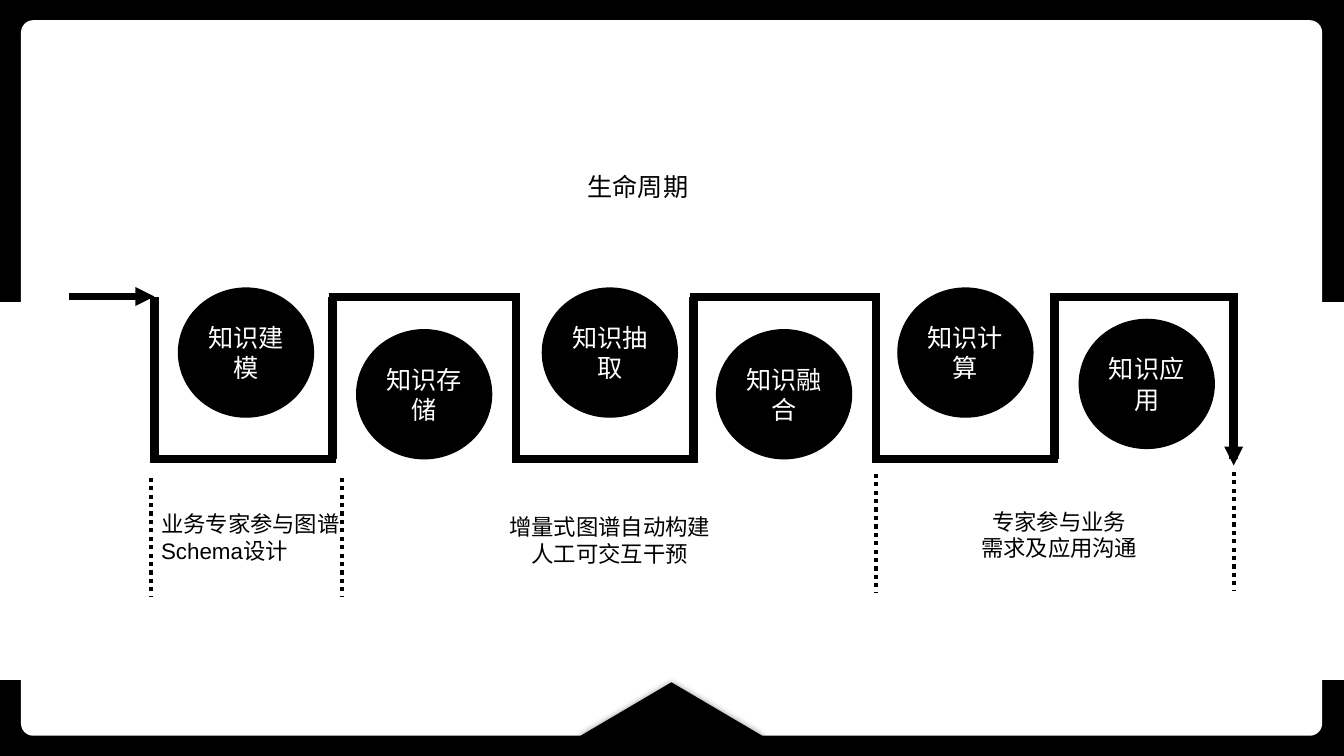
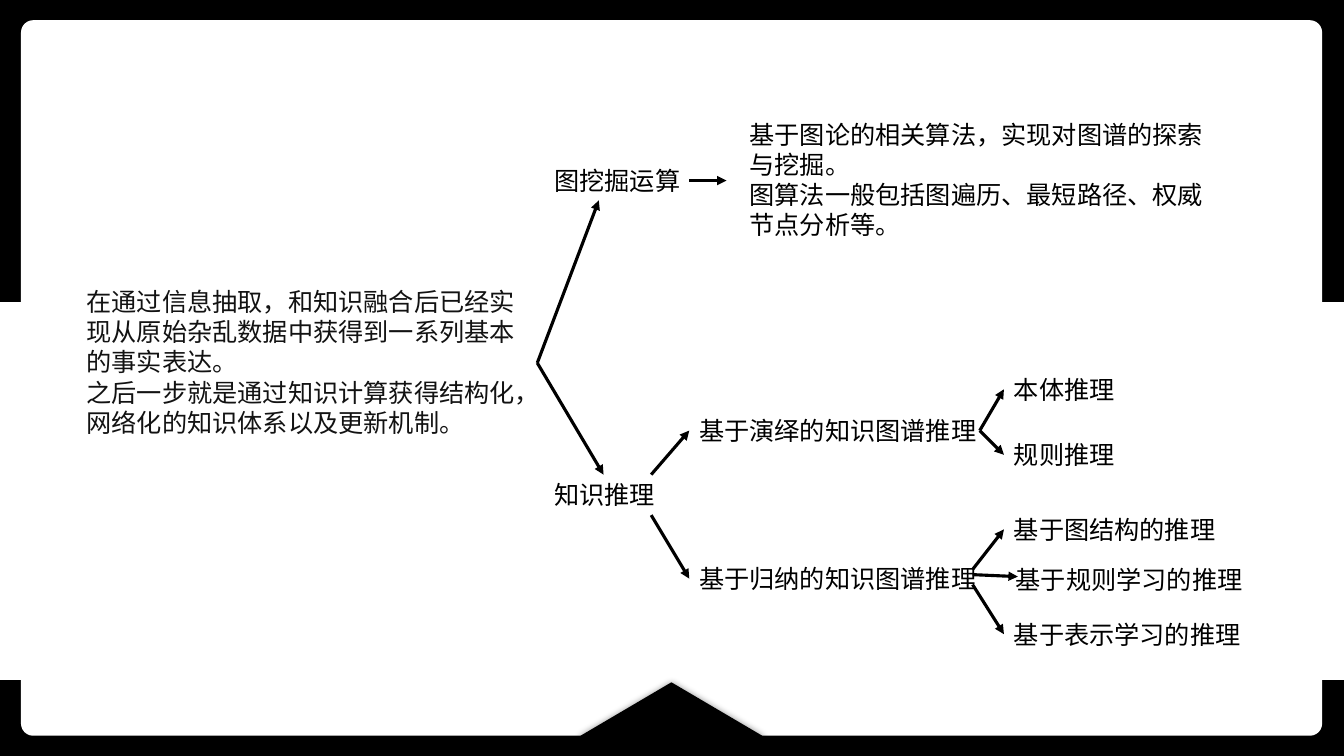
from lxml.etree import SubElement
from pptx import Presentation
from pptx.dml.color import RGBColor
from pptx.enum.dml import MSO_LINE
from pptx.enum.shapes import MSO_CONNECTOR, MSO_SHAPE as Preset
from pptx.enum.text import MSO_ANCHOR, MSO_AUTO_SIZE, PP_ALIGN as Align
from pptx.oxml.ns import qn
from pptx.util import Cm, Pt

COLORS = {name: RGBColor.from_string(value) for name, value in {
    "ink": "000000", "paper": "FFFFFF", "body": "121212"}.items()}
BODY_FONT = {"name": "Arial", "size": Pt(18), "bold": False}
LABEL_FRAME = {"word_wrap": True, "auto_size": MSO_AUTO_SIZE.SHAPE_TO_FIT_TEXT}
CIRCLE_FRAME = {"word_wrap": True, "vertical_anchor": MSO_ANCHOR.MIDDLE}


def write(shape, text, frame_format, align=Align.LEFT, color="ink", **font_changes):
    """Fill a shape with text, one paragraph per line, and format it."""
    frame = shape.text_frame
    frame.text = text
    for attribute, value in frame_format.items():
        setattr(frame, attribute, value)
    for paragraph in frame.paragraphs:
        paragraph.alignment = align
        for attribute, value in {**BODY_FONT, **font_changes}.items():
            setattr(paragraph.font, attribute, value)
        paragraph.font.color.rgb = COLORS[color]


def draw_line(slide, start, end, width, arrow=False, dash=None):
    """Draw between two ends, each an (x, y) in cm or a (shape, side) to join."""
    ends = [point if isinstance(point[0], (int, float)) else (0, 0)
            for point in (start, end)]
    connector = slide.shapes.add_connector(
        MSO_CONNECTOR.STRAIGHT, *(Cm(value) for point in ends for value in point))
    if ends[0] != start:
        connector.begin_connect(*start)
    if ends[1] != end:
        connector.end_connect(*end)
    connector.line.color.rgb = COLORS["ink"]
    connector.line.width = Pt(width)
    if dash:
        connector.line.dash_style = dash
    properties = connector.element.spPr
    if arrow:
        SubElement(properties.find(qn("a:ln")), qn("a:tailEnd"), type="triangle")
    SubElement(properties, qn("a:effectLst"))


prs = Presentation()
prs.slide_width, prs.slide_height = Cm(33.87), Cm(19.05)
cycle = prs.slides.add_slide(prs.slide_layouts[5])
tree = prs.slides.add_slide(prs.slide_layouts[6])

# Shared frame, kept on the slide master
frame_parts = [
    (Preset.RECTANGLE, 0, 0, 33.87, 7.59, "ink", True, None),
    (Preset.RECTANGLE, 0, 17.15, 33.87, 1.9, "ink", True, None),
    (Preset.ROUNDED_RECTANGLE, 0.53, 0.51, 32.79, 18.03, "paper", False, 0.017),
    (Preset.PENTAGON, 16.08, 15.75, 1.68, 4.57, "ink", False, 0.8),
]
master_tree = prs.slide_master.shapes.element
for number, (preset, x, y, width, height, color, outlined, corner) in enumerate(frame_parts):
    part = cycle.shapes.add_shape(preset, Cm(x), Cm(y), Cm(width), Cm(height))
    part.shadow.inherit = False
    part.fill.solid()
    part.fill.fore_color.rgb = COLORS[color]
    if outlined:
        part.line.color.rgb = COLORS[color]
        part.line.width = Pt(1)
    else:
        part.line.fill.background()
    if corner:
        part.adjustments[0] = corner
    if preset == Preset.PENTAGON:
        part.rotation = 270
        part.element.spPr.find(qn("a:xfrm")).set("flipV", "1")
        glow = SubElement(part.element.spPr.find(qn("a:effectLst")), qn("a:outerShdw"),
                          blurRad=str(Pt(5)), dist="0", dir="0", rotWithShape="0")
        glow_color = SubElement(glow, qn("a:srgbClr"), val=str(COLORS["ink"]))
        SubElement(glow_color, qn("a:alpha"), val="40000")
    part.element.nvSpPr.cNvPr.set("id", str(100 + number))
    master_tree.append(part.element)

# Slide 1: life cycle
heading = cycle.shapes.title
heading.left, heading.top, heading.width, heading.height = Cm(14.55), Cm(4.19), Cm(6.1), Cm(1.02)
write(heading, "生命周期", {"word_wrap": True, "vertical_anchor": MSO_ANCHOR.TOP})

stages = [
    ("知识建模", 4.5, 7.26), ("知识存储", 8.99, 8.31), ("知识抽取", 13.67, 7.26),
    ("知识融合", 18.06, 8.31), ("知识计算", 22.63, 7.26), ("知识应用", 27.2, 8.05),
]
for stage, x, y in stages:
    circle = cycle.shapes.add_shape(Preset.OVAL, Cm(x), Cm(y), Cm(3.4), Cm(3.25))
    circle.shadow.inherit = False
    circle.fill.solid()
    circle.fill.fore_color.rgb = circle.line.color.rgb = COLORS["ink"]
    circle.line.width = Pt(1)
    write(circle, stage, CIRCLE_FRAME, Align.CENTER, "paper")

uprights = [3.89, 8.38, 13, 17.48, 22.07, 26.57, 31.09]
path_top, path_bottom, half_stroke = 7.49, 11.56, 0.1
for x in uprights:
    draw_line(cycle, (x, path_top), (x, path_bottom), 6)
for step, (left, right) in enumerate(zip(uprights, uprights[1:])):
    y = path_top if step % 2 else path_bottom
    draw_line(cycle, (left - half_stroke, y), (right + half_stroke, y), 6)
draw_line(cycle, (1.75, 7.47), (uprights[0], 7.47), 4.5, arrow=True)
draw_line(cycle, (uprights[-1], 9.53), (uprights[-1], 11.73), 4.5, arrow=True)

for x, y in [(3.81, 12.04), (8.61, 12.04), (22.07, 11.94), (31.09, 11.89)]:
    draw_line(cycle, (x, y), (x, y + 2.97), 3, dash=MSO_LINE.ROUND_DOT)

phases = [
    ("业务专家参与图谱Schema设计", 3.81, 12.73, 5.18, Align.LEFT),
    ("增量式图谱自动构建\n人工可交互干预", 12.42, 12.8, 5.89, Align.CENTER),
    ("专家参与业务\n需求及应用沟通", 23.75, 12.67, 5.89, Align.CENTER),
]
for phase, x, y, width, align in phases:
    caption = cycle.shapes.add_textbox(Cm(x), Cm(y), Cm(width), Cm(1.63))
    write(caption, phase, LABEL_FRAME, align, size=Pt(16))

# Slide 2: knowledge computing tree
intro = tree.shapes.add_textbox(Cm(1.93), Cm(7.09), Cm(11.61), Cm(4.11))
write(intro, "在通过信息抽取，和知识融合后已经实现从原始杂乱数据中获得到一系列基本的事实表达。\n"
      "之后一步就是通过知识计算获得结构化，网络化的知识体系以及更新机制。",
      LABEL_FRAME, color="body", name="Lato")

topics = {
    "mining": ("图挖掘运算", 13.72, 4.04, 4.57, 1.02),
    "reasoning": ("知识推理", 13.72, 11.96, 5.38, 1.02),
    "mining_detail": ("基于图论的相关算法，实现对图谱的探索与挖掘。\n"
                      "图算法一般包括图遍历、最短路径、权威节点分析等。",
                      18.64, 2.87, 12.09, 3.33),
    "deduction": ("基于演绎的知识图谱推理", 17.37, 10.34, 8.51, 1.02),
    "induction": ("基于归纳的知识图谱推理", 17.37, 14.07, 8.51, 1.02),
    "ontology": ("本体推理", 25.3, 9.3, 4.39, 1.02),
    "rules": ("规则推理", 25.3, 10.95, 3.84, 1.02),
    "graph": ("基于图结构的推理", 25.3, 12.83, 5.87, 1.02),
    "rule_learning": ("基于规则学习的推理", 25.35, 14.1, 7.01, 1.02),
    "representation": ("基于表示学习的推理", 25.3, 15.47, 8.51, 1.02),
}
nodes = {}
for key, (topic, *place) in topics.items():
    nodes[key] = tree.shapes.add_textbox(*map(Cm, place))
    write(nodes[key], topic, LABEL_FRAME)

TOP, LEFT, BOTTOM, RIGHT = range(4)
branches = [
    ((intro, RIGHT), (15.09, 5.05)),
    ((intro, RIGHT), (15.21, 11.96)),
    ((17.37, 4.55), (18.31, 4.55)),
    ((nodes["reasoning"], TOP), (nodes["deduction"], LEFT)),
    ((nodes["reasoning"], BOTTOM), (nodes["induction"], LEFT)),
    ((24.69, 10.85), (nodes["ontology"], LEFT)),
    ((24.69, 10.85), (nodes["rules"], LEFT)),
    ((24.51, 14.35), (nodes["graph"], LEFT)),
    ((24.51, 14.48), (25.65, 14.53)),
    ((24.51, 14.73), (nodes["representation"], LEFT)),
]
for start, end in branches:
    draw_line(tree, start, end, 2.25, arrow=True)

prs.save("out.pptx")
